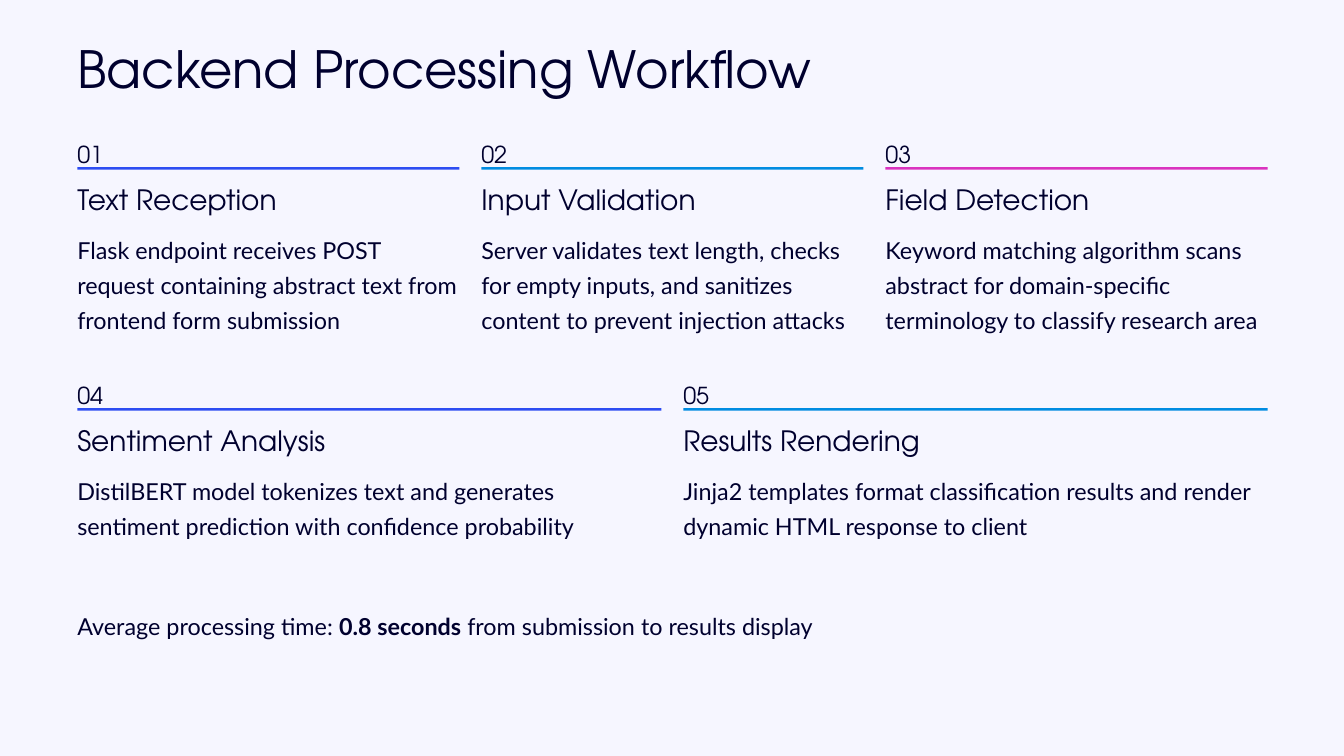
from pptx import Presentation
from pptx.dml.color import RGBColor as Rgb
from pptx.enum.shapes import MSO_SHAPE as Kind
from pptx.enum.text import MSO_ANCHOR as Anchor, MSO_AUTO_SIZE as Fit, PP_ALIGN as Align
from pptx.util import Inches as In, Pt

INK, PAPER = "00002E", "F6F6FF"
BLUE, SKY, PINK = "2D4DF2", "018CE1", "DA33BF"
HEAD, BODY = "TeX Gyre Adventor", "Lato"

# Six columns, two rows of cards
LEFT, WIDE, GAP, COLS = 0.92, 14.17, 0.26, 6
COL = (WIDE - GAP * (COLS - 1)) / COLS
TOP, STEP = 1.58, 2.87

# Each row: step title, text, line colour
ROWS = [
    [
        ("Text Reception", "Flask endpoint receives POST request containing "
         "abstract text from frontend form submission", BLUE),
        ("Input Validation", "Server validates text length, checks for empty "
         "inputs, and sanitizes content to prevent injection attacks", SKY),
        ("Field Detection", "Keyword matching algorithm scans abstract for "
         "domain-specific terminology to classify research area", PINK),
    ],
    [
        ("Sentiment Analysis", "DistilBERT model tokenizes text and generates "
         "sentiment prediction with confidence probability", BLUE),
        ("Results Rendering", "Jinja2 templates format classification results "
         "and render dynamic HTML response to client", SKY),
    ],
]


def tint(fill, code):
    fill.solid()
    fill.fore_color.rgb = Rgb.from_string(code)


def write(shape, *runs, size=20, lead=30, face=BODY, bold=(), wrap=False):
    """Fill a shape with one paragraph; bold holds the numbers of bold runs."""
    frame = shape.text_frame
    frame.margin_left = frame.margin_right = 0
    frame.margin_top = frame.margin_bottom = 0
    frame.auto_size, frame.word_wrap = Fit.NONE, wrap
    frame.vertical_anchor = Anchor.TOP
    para = frame.paragraphs[0]
    para.alignment, para.line_spacing = Align.LEFT, Pt(lead)
    for i, text in enumerate(runs):
        run = para.add_run()
        run.text = text
        font = run.font
        font.name, font.size, font.bold = face, Pt(size), i in bold
        font.color.rgb = Rgb.from_string(INK)


class Deck:
    def __init__(self):
        self.show = Presentation()
        self.show.slide_width, self.show.slide_height = In(16), In(9)
        self.slide = self.show.slides.add_slide(self.show.slide_layouts[5])
        tint(self.slide.background.fill, PAPER)

    def title(self, text):
        box = self.slide.shapes.title
        box.left, box.top = In(LEFT), In(0.41)
        box.width, box.height = In(WIDE), In(0.77)
        write(box, text, size=44, lead=55, face=HEAD, wrap=True)

    def text(self, x, y, w, h, *runs, **style):
        box = self.slide.shapes.add_textbox(In(x), In(y), In(w), In(h))
        write(box, *runs, **style)

    def rule(self, x, y, w, code):
        bar = self.slide.shapes.add_shape(
            Kind.RECTANGLE, In(x), In(y), In(w), In(0.03))
        bar.shadow.inherit = False
        tint(bar.fill, code)
        bar.line.fill.background()

    def card(self, num, col, span, row, head, body, code):
        x, y = LEFT + col * (COL + GAP), TOP + row * STEP
        w = span * COL + (span - 1) * GAP
        high = 1.26 if row == 0 else 0.84
        self.text(x, y, 0.26, 0.33, f"{num:02}", face=HEAD)
        self.rule(x, y + 0.41, w, code)
        self.text(x, y + 0.61, 3.08, 0.38, head, size=24, lead=27.5, face=HEAD)
        self.text(x, y + 1.15, w, high, body, wrap=True)


def main():
    deck = Deck()
    deck.title("Backend Processing Workflow")

    # Numbered steps, spread evenly over each row
    num = 0
    for row, cards in enumerate(ROWS):
        span = COLS // len(cards)
        for i, card in enumerate(cards):
            num += 1
            deck.card(num, i * span, span, row, *card)

    # Closing line
    deck.text(LEFT, 7.21, WIDE, 0.42, "Average processing time: ",
              "0.8 seconds", " from submission to results display", bold=(1,))
    deck.show.save("out.pptx")


if __name__ == "__main__":
    main()
